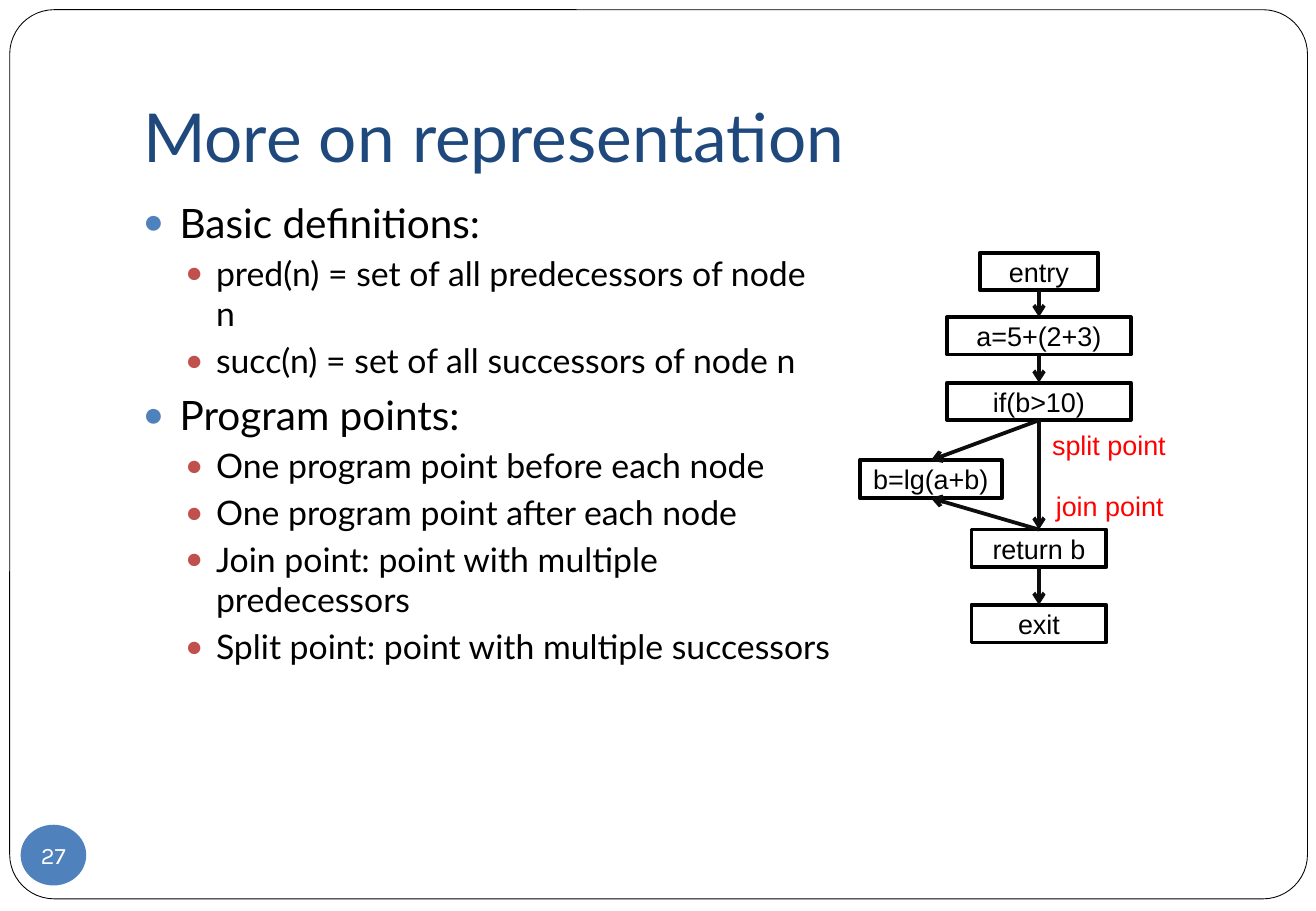
import pptx
import pptx.dml.color
import pptx.enum.shapes
import pptx.enum.text
import pptx.oxml
import pptx.oxml.ns
import pptx.util
from lxml import etree

Inches, Pt = pptx.util.Inches, pptx.util.Pt
SHAPE = pptx.enum.shapes.MSO_SHAPE
ANCHOR = pptx.enum.text.MSO_ANCHOR
CENTER = pptx.enum.text.PP_ALIGN.CENTER
qn = pptx.oxml.ns.qn

COLORS = {"white": "FFFFFF", "black": "000000", "title": "1F497D", "blue": "4F81BD",
          "bullet": "C0504D", "arrow": "0D0D0D", "label": "FF0000"}

BULLETS = [
    (0, "Basic definitions:"),
    (1, "pred(n) = set of all predecessors of node n"),
    (1, "succ(n) = set of all successors of node n"),
    (0, "Program points:"),
    (1, "One program point before each node"),
    (1, "One program point after each node"),
    (1, "Join point: point with multiple predecessors"),
    (1, "Split point: point with multiple successors"),
]
LEVELS = [
    {"size": 24, "indent": 0.3, "hang": 0.3, "before": 5.8, "bullet": "blue"},
    {"size": 20, "indent": 0.6, "hang": 0.25, "before": 3.7, "bullet": "bullet"},
]

NODES = {
    "entry": (1.47, 0, 0.97),
    "a=5+(2+3)": (1.47, 0.53, 1.51),
    "if(b>10)": (1.47, 1.07, 1.51),
    "b=lg(a+b)": (0.58, 1.71, 1.17),
    "return b": (1.47, 2.28, 1.11),
    "exit": (1.47, 2.9, 1.11),
}
NODE_HEIGHT = 0.31
TOP, BOTTOM = 0, 2
EDGES = [
    ("entry", BOTTOM, "a=5+(2+3)", TOP),
    ("a=5+(2+3)", BOTTOM, "if(b>10)", TOP),
    ("if(b>10)", BOTTOM, "b=lg(a+b)", TOP),
    ("if(b>10)", BOTTOM, "return b", TOP),
    ("return b", TOP, "b=lg(a+b)", BOTTOM),
    ("return b", BOTTOM, "exit", TOP),
]
LABELS = [("split point", 1.48, 1.4, 1.17), ("join point", 1.51, 1.9, 1.12)]


def rgb(name):
    """Return the named colour."""
    return pptx.dml.color.RGBColor.from_string(COLORS[name])


def write(p, text, size, font, color):
    """Put formatted text in a paragraph."""
    p.text = text
    for r in p.runs:
        r.font.size = Pt(size)
        r.font.name = font
        r.font.color.rgb = rgb(color)


def add_box(slide, kind, box, fill, line=None, width=0):
    """Add a flat filled shape with an optional outline."""
    sp = slide.shapes.add_shape(kind, *map(Inches, box))
    sp.shadow.inherit = False
    sp.fill.solid()
    sp.fill.fore_color.rgb = rgb(fill)
    if line:
        sp.line.color.rgb = rgb(line)
        sp.line.width = Pt(width)
    else:
        sp.line.fill.background()
    return sp


def center_text(sp, text, size, font, color):
    """Centre one unwrapped line of text in a shape."""
    tf = sp.text_frame
    tf.margin_left = tf.margin_right = tf.margin_top = tf.margin_bottom = 0
    tf.word_wrap = False
    tf.vertical_anchor = ANCHOR.MIDDLE
    tf.paragraphs[0].alignment = CENTER
    write(tf.paragraphs[0], text, size, font, color)


def add_frame(slide, box):
    """Draw the rounded border of the slide."""
    sp = add_box(slide, SHAPE.ROUNDED_RECTANGLE, box, "white", "black", 0.5)
    sp.adjustments[0] = 0.05


def add_title(slide, box, text):
    """Place the title on the bottom of its box."""
    tf = slide.shapes.add_textbox(*map(Inches, box)).text_frame
    tf.word_wrap = True
    tf.vertical_anchor = ANCHOR.BOTTOM
    tf.margin_bottom = Inches(0.1)
    write(tf.paragraphs[0], text, 40, "Lato", "title")


def set_bullet(p, level):
    """Give a paragraph a coloured bullet and a hanging indent."""
    pPr = p._p.get_or_add_pPr()
    pPr.set("marL", str(Inches(level["indent"])))
    pPr.set("indent", str(-Inches(level["hang"])))
    color = etree.SubElement(pPr, qn("a:buClr"))
    etree.SubElement(color, qn("a:srgbClr"), val=COLORS[level["bullet"]])
    etree.SubElement(pPr, qn("a:buSzPct"), val="85000")
    etree.SubElement(pPr, qn("a:buFont"), typeface="Arial")
    etree.SubElement(pPr, qn("a:buChar"), char="●")


def add_bullets(slide, box, items):
    """Write the two-level bullet list."""
    tf = slide.shapes.add_textbox(*map(Inches, box)).text_frame
    tf.word_wrap = True
    for i, (depth, text) in enumerate(items):
        p = tf.add_paragraph() if i else tf.paragraphs[0]
        level = LEVELS[depth]
        p.level = depth
        p.space_before = Pt(level["before"])
        set_bullet(p, level)
        write(p, text, level["size"], "Lato", "black")


def add_arrow(slide, start, start_site, end, end_site):
    """Join two nodes with an arrow."""
    line = slide.shapes.add_connector(pptx.enum.shapes.MSO_CONNECTOR.STRAIGHT, 0, 0, 0, 0)
    line.begin_connect(start, start_site)
    line.end_connect(end, end_site)
    line.line.color.rgb = rgb("arrow")
    line.line.width = Pt(2.25)
    etree.SubElement(line.line._get_or_add_ln(), qn("a:tailEnd"), type="arrow")
    etree.SubElement(line._element.spPr, qn("a:effectLst"))


def add_flow_graph(slide, box):
    """Draw the control flow graph with its point labels."""
    left, top = box[:2]
    for text, x, y, width in LABELS:
        sp = slide.shapes.add_textbox(*map(Inches, (left + x, top + y, width, 0.37)))
        sp.text_frame.word_wrap = False
        write(sp.text_frame.paragraphs[0], text, 16, "Arial", "label")
    nodes = {}
    for text, (center, y, width) in NODES.items():
        node_box = (left + center - width / 2, top + y, width, NODE_HEIGHT)
        nodes[text] = add_box(slide, SHAPE.RECTANGLE, node_box, "white", "black", 2.25)
        center_text(nodes[text], text, 16, "Arial", "black")
    for start, start_site, end, end_site in EDGES:
        add_arrow(slide, nodes[start], start_site, nodes[end], end_site)


def add_page_number(slide, box, number):
    """Place the page number in a disc."""
    sp = add_box(slide, SHAPE.OVAL, box, "blue")
    center_text(sp, number, 14, "Karla", "white")


def main():
    """Build and save the slide."""
    prs = pptx.Presentation()
    prs.slide_width, prs.slide_height = Inches(10.83), Inches(7.5)
    slide = prs.slides.add_slide(prs.slide_layouts[6])
    add_frame(slide, (0.08, 0.08, 10.68, 7.32))
    add_title(slide, (1.08, 0.3, 9.21, 1.25), "More on representation")
    add_bullets(slide, (1.08, 1.58, 5.86, 5), BULLETS)
    add_flow_graph(slide, (7.08, 2.08, 2.65, 3.21))
    add_page_number(slide, (0.17, 6.79, 0.54, 0.5), "27")
    prs.save("out.pptx")


if __name__ == "__main__":
    main()
